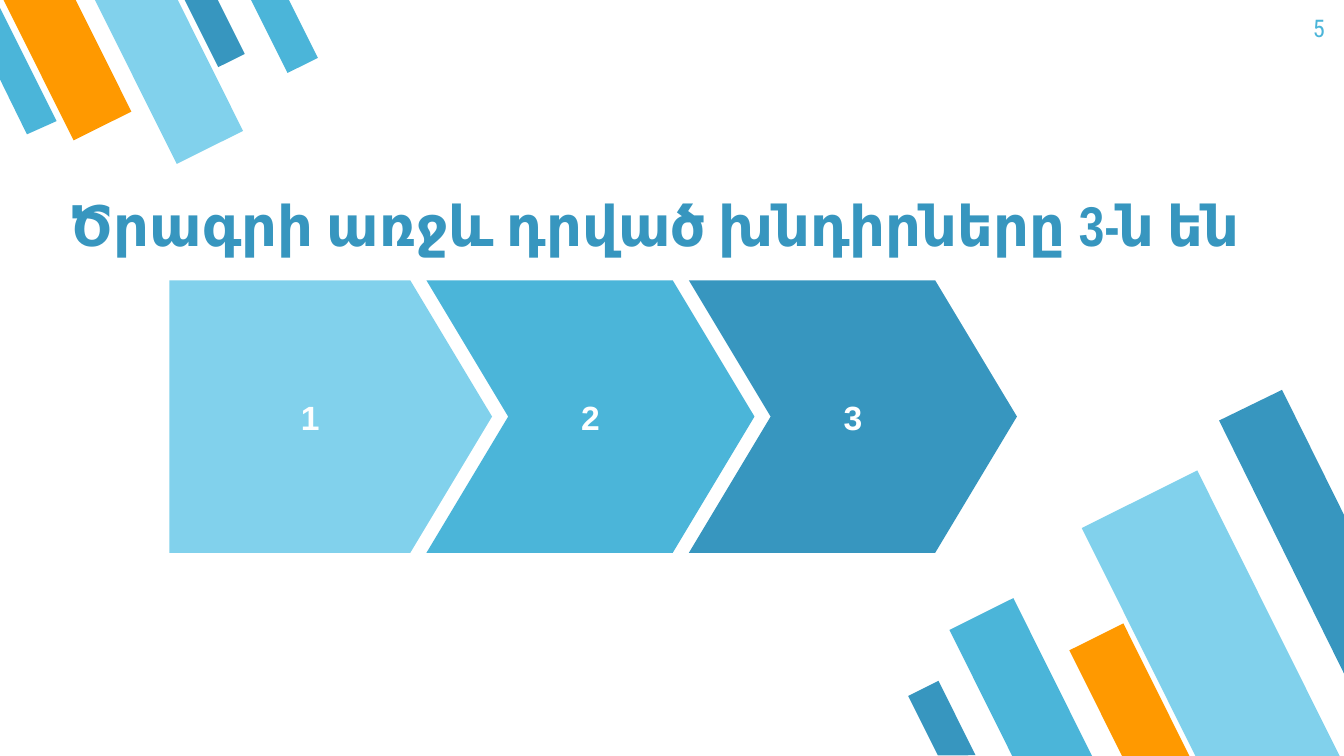
"""Build the slide that announces the three tasks of the programme."""
from pptx import Presentation
from pptx.dml.color import RGBColor
from pptx.enum.shapes import MSO_SHAPE
from pptx.enum.text import MSO_ANCHOR, MSO_AUTO_SIZE, PP_ALIGN
from pptx.util import Cm, Pt

BAR, FIRST_STEP, NEXT_STEP = MSO_SHAPE.FLOWCHART_MANUAL_INPUT, MSO_SHAPE.PENTAGON, MSO_SHAPE.CHEVRON
LEFT, CENTER, RIGHT = PP_ALIGN.LEFT, PP_ALIGN.CENTER, PP_ALIGN.RIGHT
TOP, MIDDLE, BOTTOM = MSO_ANCHOR.TOP, MSO_ANCHOR.MIDDLE, MSO_ANCHOR.BOTTOM
FIXED_SIZE = MSO_AUTO_SIZE.NONE

WHITE = RGBColor(0xFF, 0xFF, 0xFF)
PALE = RGBColor(0x81, 0xD1, 0xEC)
SKY = RGBColor(0x4B, 0xB5, 0xD9)
DEEP = RGBColor(0x37, 0x96, 0xBF)
ORANGE = RGBColor(0xFF, 0x99, 0x00)

TITLE = "Ծրագրի առջև դրված խնդիրները 3-ն են"
PAGE_NUMBER = "5"
STEPS = [
    ("1", FIRST_STEP, 6.1, PALE),
    ("2", NEXT_STEP, 6.2, SKY),
    ("3", NEXT_STEP, 6.2, DEEP),
]
STEP_LEFT, STEP_TOP, STEP_HEIGHT = 3.2, 5.3, 5.15
STEP_OVERLAP, STEP_POINT = 1.24, 0.3

BARS = {
    153.5: [
        (18.62, 11.43, 1.35, 3.35, SKY),
        (21.67, 9.12, 2.44, 6.07, PALE),
        (20.78, 11.89, 1.14, 2.82, ORANGE),
        (17.48, 12.93, 0.64, 1.57, DEEP),
    ],
    333.5: [
        (3.78, -0.2, 0.56, 1.42, DEEP),
        (0.66, -0.46, 1.22, 3, ORANGE),
        (2.49, -0.51, 1.4, 3.48, PALE),
        (5.05, -0.25, 0.64, 1.57, SKY),
    ],
}
CUT_BARS = [
    ([(24.23, 7.37), (23.04, 7.95), (25.4, 12.73), (25.4, 9.73)], DEEP),
    ([(0.51, 2.54), (1.07, 2.29), (0, 0.15), (0, 1.5)], SKY),
]


def write(holder, text, *, size, font, color, bold=False, align=LEFT, anchor=TOP):
    frame = holder.text_frame
    frame.auto_size = FIXED_SIZE
    frame.word_wrap = True
    frame.vertical_anchor = anchor
    frame.margin_left = frame.margin_right = Cm(0.25)
    frame.margin_top = frame.margin_bottom = Cm(0.25)
    paragraph = frame.paragraphs[0]
    paragraph.alignment = align
    run = paragraph.add_run()
    run.text = text
    run.font.size = Pt(size)
    run.font.name = font
    run.font.bold = bold
    run.font.color.rgb = color


def paint(figure, color):
    figure.shadow.inherit = False
    figure.fill.solid()
    figure.fill.fore_color.rgb = color
    figure.line.fill.background()


def add_bars(shapes):
    for angle, bars in BARS.items():
        for *box, color in bars:
            bar = shapes.add_shape(BAR, *map(Cm, box))
            bar.rotation = angle
            bar.element.spPr.xfrm.set("flipH", "1")
            paint(bar, color)
    for corners, color in CUT_BARS:
        start, *others = [(Cm(x), Cm(y)) for x, y in corners]
        outline = shapes.build_freeform(*start)
        outline.add_line_segments(others, close=True)
        paint(outline.convert_to_shape(), color)


def add_steps(shapes):
    left = STEP_LEFT
    for label, kind, width, color in STEPS:
        step = shapes.add_shape(kind, Cm(left), Cm(STEP_TOP), Cm(width), Cm(STEP_HEIGHT))
        step.adjustments[0] = STEP_POINT
        paint(step, color)
        write(step, label, size=18, font="Arial", color=WHITE, bold=True,
              align=CENTER, anchor=MIDDLE)
        left += width - STEP_OVERLAP


def main():
    deck = Presentation()
    deck.slide_width, deck.slide_height = Cm(25.4), Cm(14.29)
    slide = deck.slides.add_slide(deck.slide_layouts[5])
    slide.background.fill.solid()
    slide.background.fill.fore_color.rgb = WHITE
    shapes = slide.shapes

    add_bars(shapes)
    title = shapes.title
    title.left, title.top, title.width, title.height = map(Cm, (1.07, 3.25, 23.88, 1.88))
    write(title, TITLE, size=30, font="Arial Narrow", color=DEEP, bold=True, anchor=BOTTOM)
    add_steps(shapes)
    page_number = shapes.add_textbox(*map(Cm, (23.77, 0, 1.52, 1.09)))
    write(page_number, PAGE_NUMBER, size=13, font="Roboto Condensed", color=SKY, align=RIGHT)

    deck.save("out.pptx")


if __name__ == "__main__":
    main()
